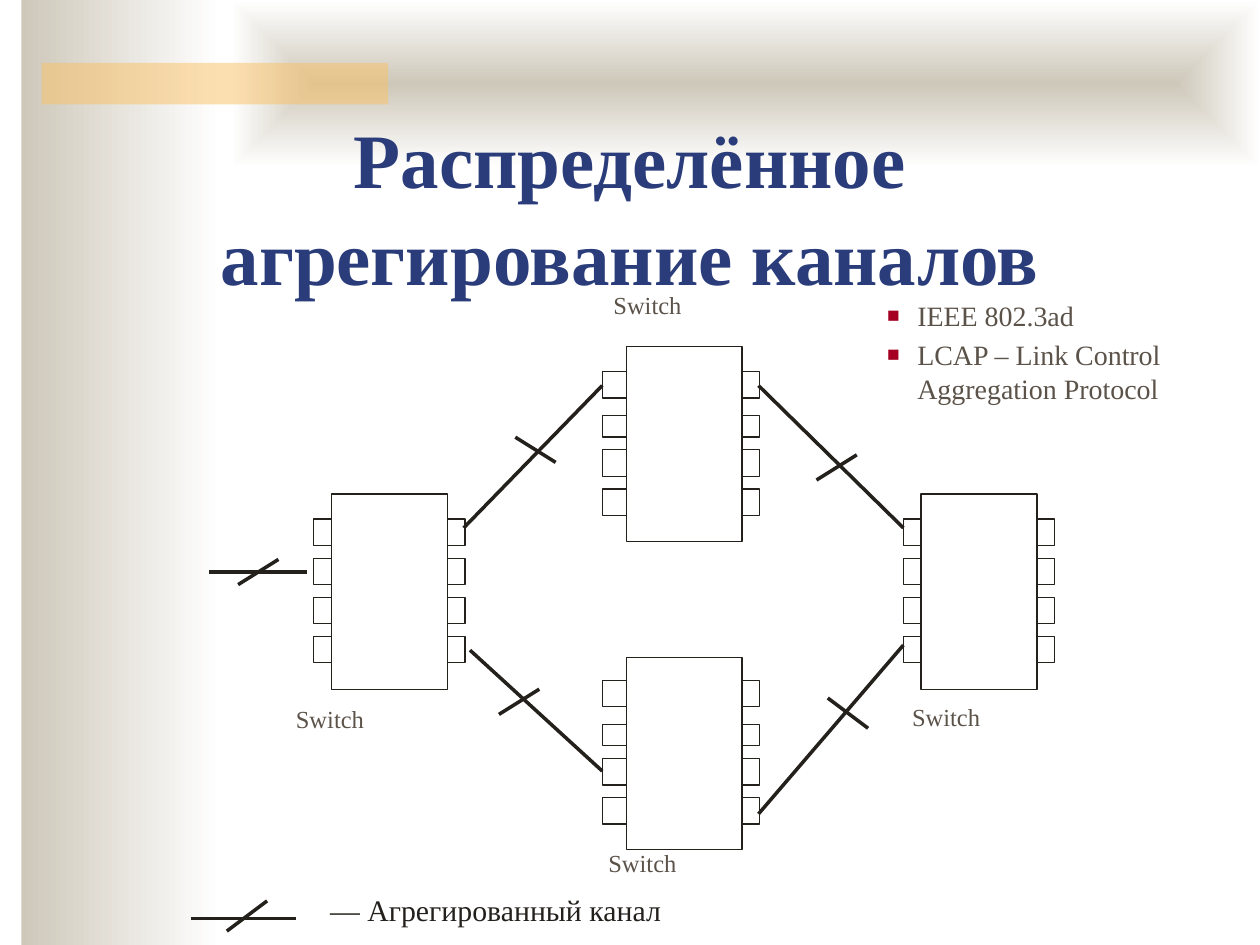
import pptx
import pptx.util
import pptx.dml.color
import pptx.enum.dml
import pptx.enum.shapes
import pptx.enum.text
import pptx.oxml
import pptx.oxml.ns

Inches = pptx.util.Inches
Pt = pptx.util.Pt
FONT = "Times New Roman"
COLORS = {
    "title": "2A3D7A", "text": "5B5249", "ink": "24211D", "sand": "CEC8BA",
    "white": "FFFFFF", "gold": "FAC164", "bullet": "A50021",
}


def color(name):
    return pptx.dml.color.RGBColor.from_string(COLORS[name])


def node(tag, body="", attrs=""):
    space = pptx.oxml.ns.nsdecls("a")
    return pptx.oxml.parse_xml(f"<a:{tag} {space} {attrs}>{body}</a:{tag}>")


def place(shape, box):
    shape.left, shape.top, shape.width, shape.height = map(Inches, box)


def rect(slide, box):
    shape = slide.shapes.add_shape(
        pptx.enum.shapes.MSO_SHAPE.RECTANGLE, *map(Inches, box))
    shape.shadow.inherit = False
    return shape


def line(slide, x1, y1, x2, y2):
    link = slide.shapes.add_connector(
        pptx.enum.shapes.MSO_CONNECTOR.STRAIGHT, *map(Inches, (x1, y1, x2, y2)))
    link.line.color.rgb = color("ink")
    link.line.width = Pt(0)
    link._element.spPr.append(node("effectLst"))


def write(para, text, size, name, bold=False):
    run = para.add_run()
    run.text = text
    run.font.size = Pt(size)
    run.font.name = FONT
    run.font.bold = bold
    run.font.color.rgb = color(name)


def label(slide, box, text, size, name, pad=(0.1, 0.05), wrap=True):
    shape = slide.shapes.add_textbox(*map(Inches, box))
    frame = shape.text_frame
    frame.word_wrap = wrap
    frame.margin_left = frame.margin_right = Inches(pad[0])
    frame.margin_top = frame.margin_bottom = Inches(pad[1])
    write(frame.paragraphs[0], text, size, name)


def backdrop(slide):
    side = rect(slide, (0.17, 0, 1.58, 7.5))
    band = rect(slide, (1.83, 0, 8.17, 1.33))
    bar = rect(slide, (0.33, 0.5, 2.75, 0.33))
    for shape in (side, band):
        shape.fill.gradient()
        shape.fill.gradient_angle = 0
        for stop, name, pos in zip(shape.fill.gradient_stops, ("sand", "white"), (0, 1)):
            stop.color.rgb = color(name)
            stop.position = pos
    grad = band._element.spPr.find(pptx.oxml.ns.qn("a:gradFill"))
    grad.remove(grad.find(pptx.oxml.ns.qn("a:lin")))
    grad.append(node("path", '<a:fillToRect l="50000" t="50000" r="50000" b="50000"/>',
                     'path="shape"'))
    bar.fill.solid()
    bar.fill.fore_color.rgb = color("gold")
    tint = bar._element.spPr.find(".//" + pptx.oxml.ns.qn("a:srgbClr"))
    tint.append(node("alpha", attrs='val="50000"'))
    for rank, shape in enumerate((side, band, bar)):
        shape.line.fill.background()
        slide.shapes._spTree.insert(2 + rank, shape._element)


def heading(slide, box):
    title = slide.shapes.title
    place(title, box)
    frame = title.text_frame
    frame.auto_size = pptx.enum.text.MSO_AUTO_SIZE.NONE
    frame.vertical_anchor = pptx.enum.text.MSO_ANCHOR.TOP
    frame.margin_top = Inches(0.08)
    para = frame.paragraphs[0]
    para.alignment = pptx.enum.text.PP_ALIGN.CENTER
    para.line_spacing = 1.05
    write(para, "Распределённое агрегирование каналов", 44, "title", True)


def bullets(slide, box, items):
    body = slide.placeholders[1]
    place(body, box)
    frame = body.text_frame
    frame.auto_size = pptx.enum.text.MSO_AUTO_SIZE.NONE
    for rank, item in enumerate(items):
        para = frame.add_paragraph() if rank else frame.paragraphs[0]
        para.space_before = Pt(3.2)
        props = para._p.get_or_add_pPr()
        props.set("marL", str(Inches(0.24)))
        props.set("indent", str(-Inches(0.24)))
        props.append(node("buClr", f'<a:srgbClr val="{COLORS["bullet"]}"/>'))
        props.append(node("buSzPct", attrs='val="75000"'))
        props.append(node("buFont", attrs=f'typeface="{FONT}"'))
        props.append(node("buChar", attrs='char="■"'))
        write(para, item, 16, "text")


def switch(slide, box, ports, wide, tag):
    left, top, width, height = box
    boxes = [box]
    for drop, tall in ports:
        boxes.append((left - wide, top + drop, wide, tall))
        boxes.append((left + width, top + drop, 0.14, tall))
    for part in boxes:
        shape = rect(slide, part)
        shape.fill.background()
        shape.line.color.rgb = color("ink")
        shape.line.width = Pt(0)
    label(slide, (*tag, 1.57, 0.34), "Switch", 14, "text")


def trunk(slide, ends, mid, rise):
    line(slide, *ends)
    x, y = mid
    line(slide, x - 0.16, y + rise, x + 0.16, y - rise)


def network(slide):
    even = [(0.2 + 0.31 * n, 0.21) for n in range(4)]
    mixed = [(0.2, 0.21), (0.55, 0.17), (0.82, 0.21), (1.13, 0.21)]
    raised = [(drop - 0.02, tall) for drop, tall in mixed]
    for box, ports, wide, tag in (
        ((2.63, 3.92, 0.92, 1.55), even, 0.14, (2.25, 5.54)),
        ((7.31, 3.92, 0.92, 1.55), even, 0.14, (7.14, 5.52)),
        ((4.97, 2.75, 0.92, 1.55), mixed, 0.19, (4.77, 2.25)),
        ((4.97, 5.22, 0.92, 1.52), raised, 0.19, (4.73, 6.68)),
    ):
        switch(slide, box, ports, wide, tag)
    for ends, mid, rise in (
        ((3.68, 4.19, 4.78, 3.06), (4.25, 3.57), -0.1),
        ((3.73, 5.16, 4.78, 6.12), (4.12, 5.57), 0.1),
        ((7.17, 4.19, 6.02, 3.06), (6.64, 3.71), 0.1),
        ((7.17, 5.12, 6.02, 6.46), (6.73, 5.66), -0.12),
        ((1.66, 4.54, 2.44, 4.54), (2.05, 4.54), 0.1),
    ):
        trunk(slide, ends, mid, rise)


def legend(slide, box):
    left, top, width, height = box
    trunk(slide, (left, top + 0.21, left + 0.83, top + 0.21), (left + 0.44, top + 0.19), 0.12)
    label(slide, (left + 1.1, top, width - 1.1, height), "— Агрегированный канал",
          17, "ink", (0, 0), False)


deck = pptx.Presentation()
deck.slide_width, deck.slide_height = Inches(10), Inches(7.5)
slide = deck.slides.add_slide(deck.slide_layouts[1])
backdrop(slide)
heading(slide, (0.75, 0.77, 8.5, 1.1))
network(slide)
legend(slide, (1.52, 7.08, 3.75, 0.29))
bullets(slide, (6.94, 2.32, 2.91, 0.96),
        ("IEEE 802.3ad", "LCAP – Link Control Aggregation Protocol"))
deck.save("out.pptx")
